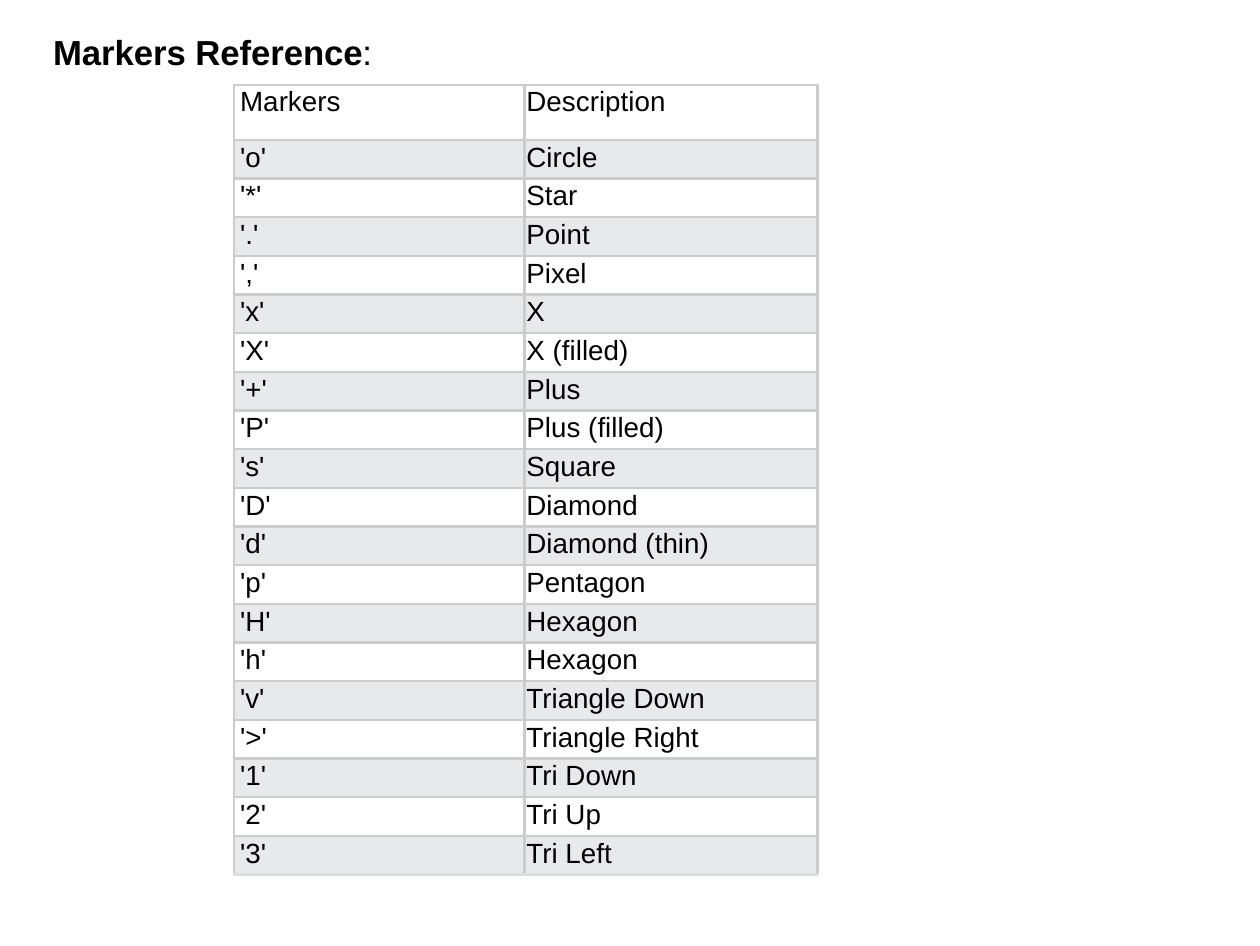
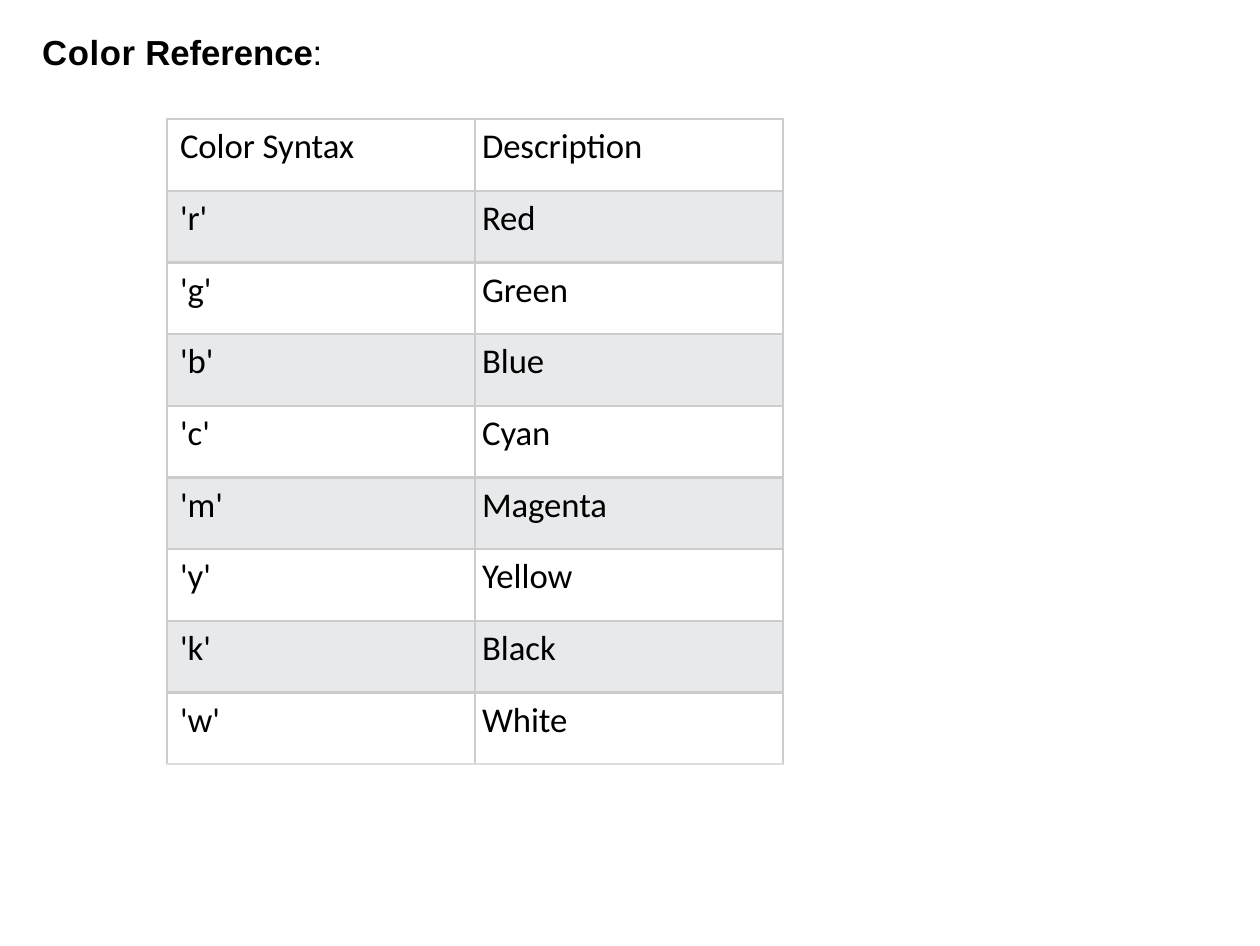
import dataclasses

import lxml.etree
import pptx
import pptx.dml.color
import pptx.enum.text
import pptx.oxml.ns
import pptx.util

Cm = pptx.util.Cm
Pt = pptx.util.Pt
RGBColor = pptx.dml.color.RGBColor

BLACK = RGBColor(0x00, 0x00, 0x00)
WHITE = RGBColor(0xFF, 0xFF, 0xFF)
STRIPE = RGBColor(0xE7, 0xE9, 0xEB)
RULE = RGBColor(0xCC, 0xCC, 0xCC)
LAST_RULE = RGBColor(0xDD, 0xDD, 0xDD)
RULE_WIDTH = Pt(0.75)
TITLE_FONT = "Arial"
TITLE_SIZE = 10


@dataclasses.dataclass
class Box:
    left: float
    top: float
    width: float
    height: float

    def lengths(self):
        return Cm(self.left), Cm(self.top), Cm(self.width), Cm(self.height)


@dataclasses.dataclass
class Look:
    font: str
    size: float
    first_inset: float
    inset: float
    first_width: float
    header_height: float


MARKERS = [
    ("Markers", "Description"),
    ("'o'", "Circle"),
    ("'*'", "Star"),
    ("'.'", "Point"),
    ("','", "Pixel"),
    ("'x'", "X"),
    ("'X'", "X (filled)"),
    ("'+'", "Plus"),
    ("'P'", "Plus (filled)"),
    ("'s'", "Square"),
    ("'D'", "Diamond"),
    ("'d'", "Diamond (thin)"),
    ("'p'", "Pentagon"),
    ("'H'", "Hexagon"),
    ("'h'", "Hexagon"),
    ("'v'", "Triangle Down"),
    ("'>'", "Triangle Right"),
    ("'1'", "Tri Down"),
    ("'2'", "Tri Up"),
    ("'3'", "Tri Left"),
]
COLORS = [
    ("Color Syntax", "Description"),
    ("'r'", "Red"),
    ("'g'", "Green"),
    ("'b'", "Blue"),
    ("'c'", "Cyan"),
    ("'m'", "Magenta"),
    ("'y'", "Yellow"),
    ("'k'", "Black"),
    ("'w'", "White"),
]


def add_run(paragraph, text, font, size, bold=False):
    run = paragraph.add_run()
    run.text = text
    run.font.name = font
    run.font.size = Pt(size)
    run.font.bold = bold
    run.font.color.rgb = BLACK
    return run


def add_title(slide, box, spaced, text):
    frame = slide.shapes.add_textbox(*box.lengths()).text_frame
    frame.word_wrap = True
    frame.vertical_anchor = pptx.enum.text.MSO_ANCHOR.TOP
    frame.margin_left = frame.margin_right = 0
    frame.margin_top = frame.margin_bottom = 0
    paragraph = frame.paragraphs[0]
    if spaced:
        lead = add_run(paragraph, spaced, TITLE_FONT, TITLE_SIZE, bold=True)
        lead.font._element.set("spc", "20")
    add_run(paragraph, text, TITLE_FONT, TITLE_SIZE, bold=True)
    add_run(paragraph, ":", TITLE_FONT, TITLE_SIZE)


def rule_cell(cell, bottom):
    qn = pptx.oxml.ns.qn
    properties = cell._tc.get_or_add_tcPr()
    edges = {"lnL": RULE, "lnR": RULE, "lnT": RULE, "lnB": bottom}
    for edge, color in edges.items():
        line = lxml.etree.SubElement(properties, qn(f"a:{edge}"), w=str(int(RULE_WIDTH)))
        fill = lxml.etree.SubElement(line, qn("a:solidFill"))
        lxml.etree.SubElement(fill, qn("a:srgbClr"), val=str(color))


def fill_cell(cell, text, look, left_inset, background, bottom):
    rule_cell(cell, bottom)
    cell.fill.solid()
    cell.fill.fore_color.rgb = background
    cell.margin_left = Cm(left_inset)
    cell.margin_right = cell.margin_top = cell.margin_bottom = Cm(look.inset)
    add_run(cell.text_frame.paragraphs[0], text, look.font, look.size)


def add_reference(slide, box, entries, look):
    columns = len(entries[0])
    table = slide.shapes.add_table(len(entries), columns, *box.lengths()).table
    table.first_row = table.horz_banding = False
    table.columns[0].width = Cm(look.first_width)
    table.columns[1].width = Cm(box.width - look.first_width)
    entry_height = (box.height - look.header_height) / (len(entries) - 1)
    for r, entry in enumerate(entries):
        table.rows[r].height = Cm(entry_height if r else look.header_height)
        background = STRIPE if r % 2 else WHITE
        bottom = LAST_RULE if r == len(entries) - 1 else RULE
        for c, text in enumerate(entry):
            left_inset = look.inset if c else look.first_inset
            fill_cell(table.cell(r, c), text, look, left_inset, background, bottom)


def add_reference_slide(deck, spaced, title, title_left, box, entries, look):
    slide = deck.slides.add_slide(deck.slide_layouts[6])
    add_title(slide, Box(title_left, 0.31, 11.8, 0.45), spaced, title)
    add_reference(slide, box, entries, look)


def main():
    deck = pptx.Presentation()
    deck.slide_width = Pt(363)
    deck.slide_height = Pt(272.5)
    add_reference_slide(
        deck, "", "Markers Reference", 0.54, Box(2.38, 0.86, 5.93, 8.03),
        MARKERS, Look("Arial", 8, 0.06, 0.02, 2.95, 0.56),
    )
    add_reference_slide(
        deck, "Color", " Reference", 0.43, Box(1.7, 1.21, 6.26, 6.56),
        COLORS, Look("Calibri", 10, 0.13, 0.07, 3.13, 0.73),
    )
    deck.save("out.pptx")


if __name__ == "__main__":
    main()
